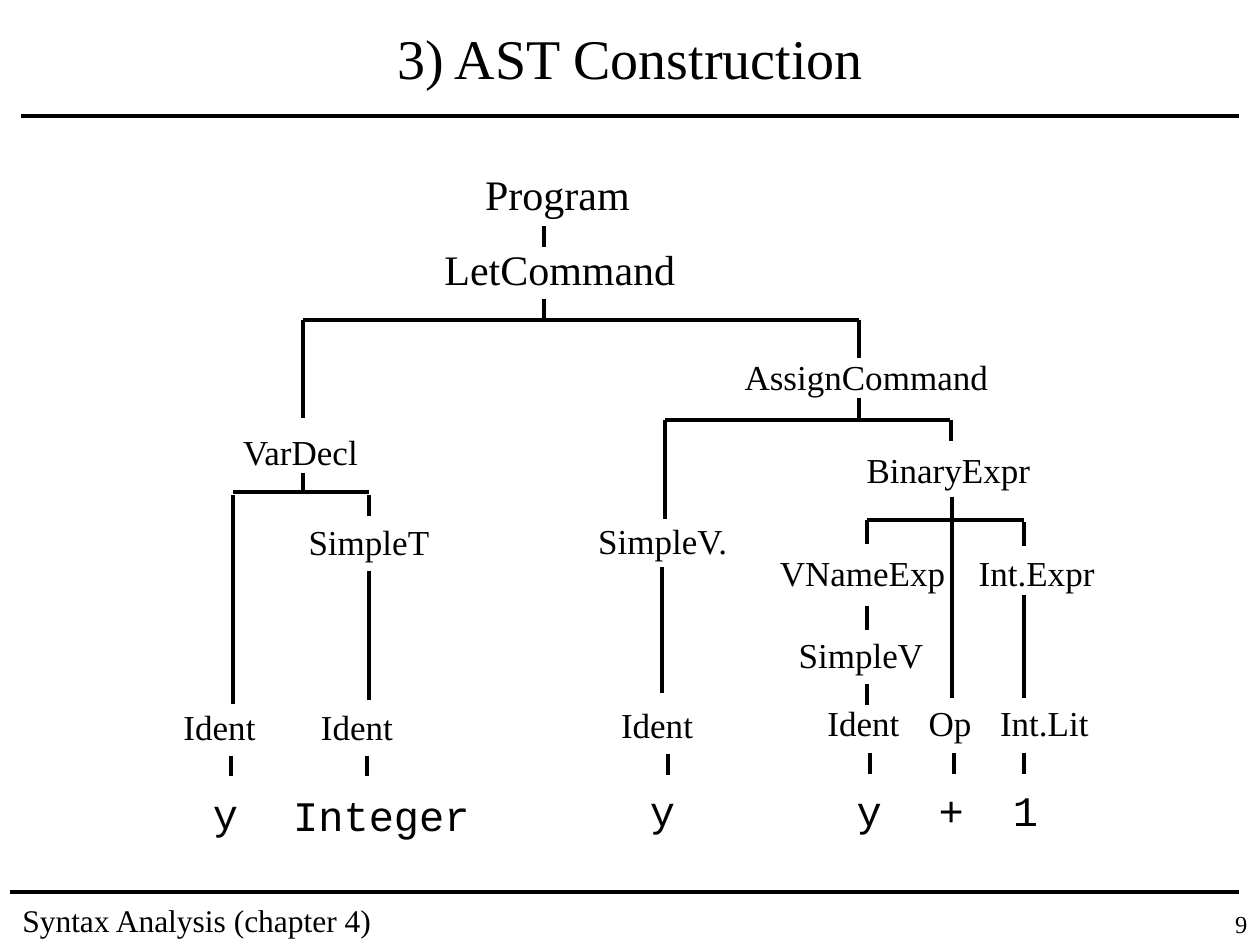
from lxml import etree
from pptx import Presentation
from pptx.dml.color import RGBColor
from pptx.enum import shapes, text
from pptx.oxml import ns
from pptx.util import Cm, Pt

BLACK = RGBColor(0x00, 0x00, 0x00)
SERIF = "Times New Roman"
MONO = "Courier New"

presentation = Presentation()
presentation.slide_width = Cm(25.4)
presentation.slide_height = Cm(19.05)
slide = presentation.slides.add_slide(presentation.slide_layouts[6])


def add_text(content, left, top, width, height, size=20, font=SERIF,
             align=text.PP_ALIGN.LEFT, anchor=text.MSO_ANCHOR.TOP,
             wrap=False, fit=text.MSO_AUTO_SIZE.SHAPE_TO_FIT_TEXT):
    shape = slide.shapes.add_textbox(Cm(left), Cm(top), Cm(width), Cm(height))
    frame = shape.text_frame
    frame.word_wrap = wrap
    frame.auto_size = fit
    frame.vertical_anchor = anchor
    paragraph = frame.paragraphs[0]
    paragraph.alignment = align
    run = paragraph.add_run()
    run.text = content
    run.font.name = font
    run.font.size = Pt(size)
    run.font.color.rgb = BLACK


def add_line(x1, y1, x2, y2):
    connector = slide.shapes.add_connector(
        shapes.MSO_CONNECTOR.STRAIGHT, Cm(x1), Cm(y1), Cm(x2), Cm(y2))
    connector.line.color.rgb = BLACK
    connector.line.width = Pt(2.25)
    etree.SubElement(connector._element.spPr, ns.qn("a:effectLst"))


add_text("3) AST Construction", 0.64, 0.2, 24.13, 1.9, size=32,
         align=text.PP_ALIGN.CENTER, anchor=text.MSO_ANCHOR.MIDDLE,
         wrap=True, fit=text.MSO_AUTO_SIZE.NONE)
add_text("Syntax Analysis (chapter 4)", 0.2, 18.03, 9.73, 1.02, size=18, wrap=True)
add_text("9", 23.5, 18.21, 1.9, 0.84, size=14, align=text.PP_ALIGN.RIGHT,
         wrap=True, fit=text.MSO_AUTO_SIZE.NONE)

root_nodes = [
    ("Program", 9.53, 3.28, 3.43),
    ("LetCommand", 8.71, 4.78, 5.16),
]
for name, left, top, width in root_nodes:
    add_text(name, left, top, width, 1.27, size=24)

inner_nodes = [
    ("AssignCommand", 14.76, 7.04, 5.41),
    ("VarDecl", 4.65, 8.56, 2.9),
    ("BinaryExpr", 17.22, 8.92, 3.81),
    ("SimpleT", 5.97, 10.36, 2.95),
    ("SimpleV.", 11.81, 10.34, 3.2),
    ("VNameExp", 15.47, 11, 3.84),
    ("Int.Expr", 19.48, 11, 2.84),
    ("SimpleV", 15.85, 12.65, 3.02),
    ("Ident", 3.45, 14.1, 1.96),
    ("Ident", 6.22, 14.1, 1.96),
    ("Ident", 12.27, 14.05, 1.96),
    ("Ident", 16.43, 14.02, 1.96),
    ("Op", 18.47, 14.02, 1.37),
    ("Int.Lit", 19.91, 14.02, 2.29),
]
for name, left, top, width in inner_nodes:
    add_text(name, left, top, width, 1.12)

tokens = [
    ("y", 4.04, 15.75, 1.02),
    ("Integer", 5.66, 15.8, 4.06),
    ("y", 12.85, 15.7, 1.02),
    ("y", 17.02, 15.7, 1.02),
    ("+", 18.67, 15.7, 1.02),
    ("1", 20.17, 15.7, 1.02),
]
for token, left, top, width in tokens:
    add_text(token, left, top, width, 1.27, size=24, font=MONO)

header_and_footer_rules = [(2.34, 0.43, 24.97), (17.98, 0.2, 24.97)]
branch_bars = [
    (6.45, 6.1, 17.32),
    (8.46, 13.41, 19.15),
    (9.91, 4.7, 7.44),
    (10.49, 17.48, 20.65),
]
for y, left, right in header_and_footer_rules + branch_bars:
    add_line(left, y, right, y)

stems = [
    (10.97, [(4.55, 4.98), (6.02, 6.45)]),
    (6.1, [(6.45, 8.43), (9.53, 9.93)]),
    (17.32, [(6.45, 7.21), (8.03, 8.46)]),
    (13.41, [(8.46, 10.46)]),
    (19.18, [(8.46, 8.89)]),
    (4.7, [(9.98, 14.2)]),
    (7.44, [(9.98, 10.41), (11.51, 14.12)]),
    (13.34, [(11.43, 13.97)]),
    (17.48, [(10.49, 10.97), (12.22, 12.7), (13.79, 14.22)]),
    (19.2, [(10.01, 14.07)]),
    (20.65, [(10.52, 11), (11.99, 14.07), (15.17, 15.6)]),
    (4.65, [(15.24, 15.65)]),
    (7.39, [(15.24, 15.65)]),
    (13.46, [(15.19, 15.62)]),
    (17.53, [(15.17, 15.6)]),
    (19.23, [(15.17, 15.6)]),
]
for x, spans in stems:
    for top, bottom in spans:
        add_line(x, top, x, bottom)

presentation.save("out.pptx")
